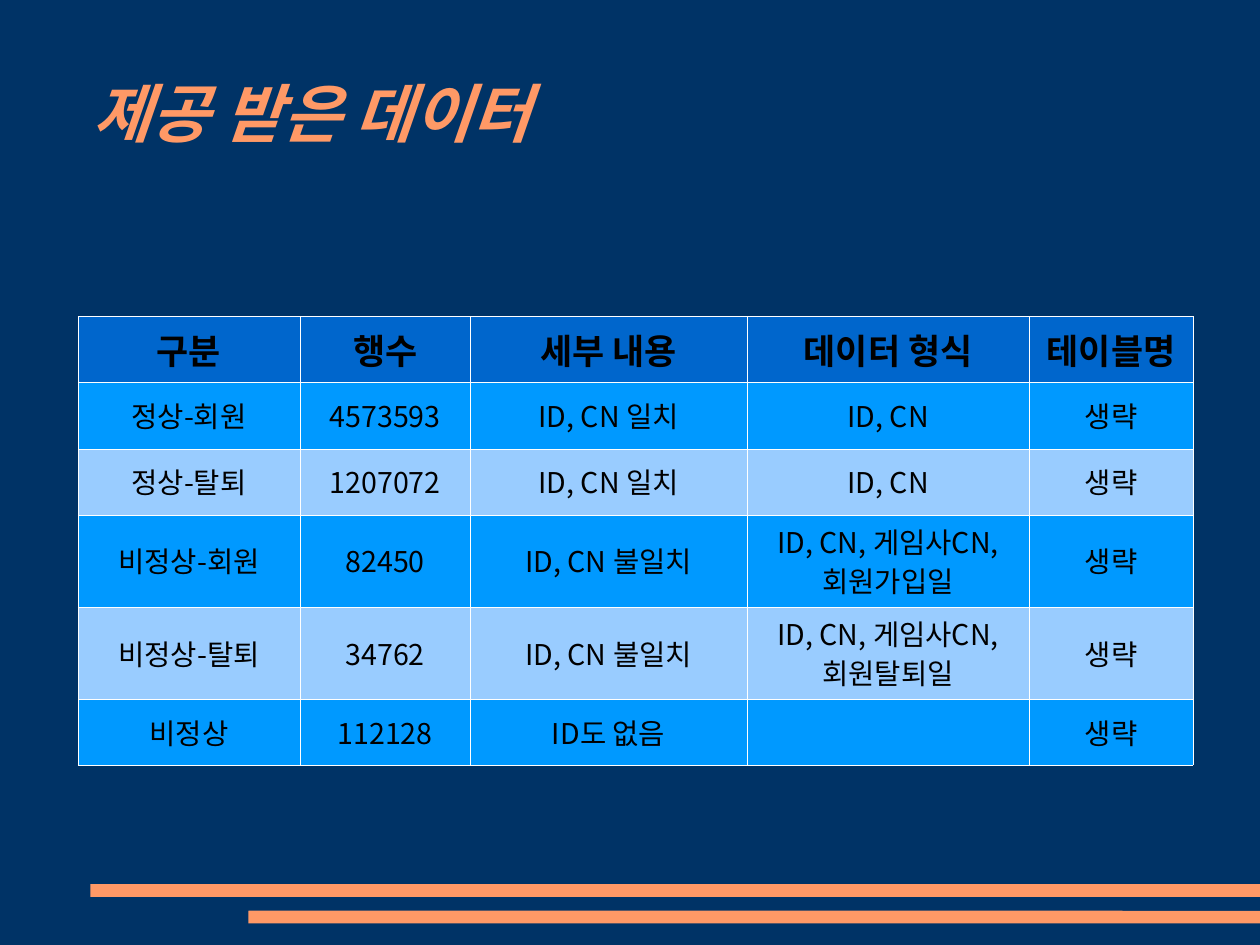
from lxml.etree import SubElement
from pptx import Presentation
from pptx.dml.color import RGBColor
from pptx.enum.shapes import MSO_SHAPE as Shape
from pptx.enum.text import MSO_ANCHOR as Anchor, MSO_AUTO_SIZE as AutoSize, PP_ALIGN as Align
from pptx.oxml.ns import qn
from pptx.util import Cm, Pt

# All lengths are in centimetres
WIDTH, HEIGHT = 28, 21
FONT = "Noto Sans CJK KR"
NAVY, ORANGE, BLACK, WHITE = "003366", "FF9966", "000000", "FFFFFF"
HEADER_BLUE, BLUE, PALE_BLUE = "0066CC", "0099FF", "99CCFF"


def paint(fill, color):
    fill.solid()
    fill.fore_color.rgb = RGBColor.from_string(color)


def write(frame, text, size=18, color=BLACK, bold=False, italic=False, align=Align.CENTER):
    para = frame.paragraphs[0]
    para.alignment = align
    para.line_spacing = 0.96
    span = para.add_run()
    span.text = text
    font = span.font
    font.name, font.size, font.bold, font.italic = FONT, Pt(size), bold, italic
    paint(font.fill, color)
    SubElement(font._element, qn("a:ea"), typeface=FONT)


deck = Presentation()
deck.slide_width, deck.slide_height = Cm(WIDTH), Cm(HEIGHT)
page = deck.slides.add_slide(deck.slide_layouts[5])
paint(page.background.fill, NAVY)

# Two bars running to the right edge
for left, top in [(2.01, 19.65), (5.52, 20.24)]:
    bar = page.shapes.add_shape(Shape.ROUNDED_RECTANGLE, Cm(left), Cm(top),
                                Cm(WIDTH - left), Cm(0.28))
    bar.adjustments[0] = 0.02
    bar.shadow.inherit = False
    bar.line.fill.background()
    paint(bar.fill, ORANGE)

# Title
title = page.shapes.title
title.left, title.top, title.width, title.height = map(Cm, (2.06, 0.79, 23.9, 3.5))
frame = title.text_frame
frame.margin_left = frame.margin_right = frame.margin_bottom = 0
frame.margin_top = Cm(0.05)
frame.vertical_anchor = Anchor.MIDDLE
frame.auto_size = AutoSize.NONE
frame.word_wrap = True
write(frame, "제공 받은 데이터", size=40, color=ORANGE, bold=True, italic=True, align=Align.LEFT)

# Table of the supplied data
rows = [
    ("구분", "행수", "세부 내용", "데이터 형식", "테이블명"),
    ("정상-회원", "4573593", "ID, CN 일치", "ID, CN", "생략"),
    ("정상-탈퇴", "1207072", "ID, CN 일치", "ID, CN", "생략"),
    ("비정상-회원", "82450", "ID, CN 불일치", "ID, CN, 게임사CN, 회원가입일", "생략"),
    ("비정상-탈퇴", "34762", "ID, CN 불일치", "ID, CN, 게임사CN, 회원탈퇴일", "생략"),
    ("비정상", "112128", "ID도 없음", "", "생략"),
]
column_widths = [4.94, 3.78, 6.15, 6.27, 3.64]
row_heights = [1.47, 1.47, 1.47, 2.05, 2.05, 1.47]
table = page.shapes.add_table(len(rows), len(column_widths), Cm(1.73), Cm(7.03),
                              Cm(sum(column_widths)), Cm(sum(row_heights))).table
for column, width in zip(table.columns, column_widths):
    column.width = Cm(width)

for row_index, (texts, height) in enumerate(zip(rows, row_heights)):
    header = row_index == 0
    row_color = HEADER_BLUE if header else (PALE_BLUE, BLUE)[row_index % 2]
    table.rows[row_index].height = Cm(height)
    for column_index, text in enumerate(texts):
        cell = table.cell(row_index, column_index)
        cell.vertical_anchor = Anchor.MIDDLE
        if text:
            write(cell.text_frame, text, size=22 if header else 18, bold=header)
        # Borders come before the fill in the cell properties
        properties = cell._tc.get_or_add_tcPr()
        for side in ("lnL", "lnR", "lnT", "lnB"):
            border = SubElement(properties, qn(f"a:{side}"), w=str(Pt(0.06)))
            line_fill = SubElement(border, qn("a:solidFill"))
            SubElement(line_fill, qn("a:srgbClr"), val=WHITE)
        paint(cell.fill, row_color)

deck.save("out.pptx")
